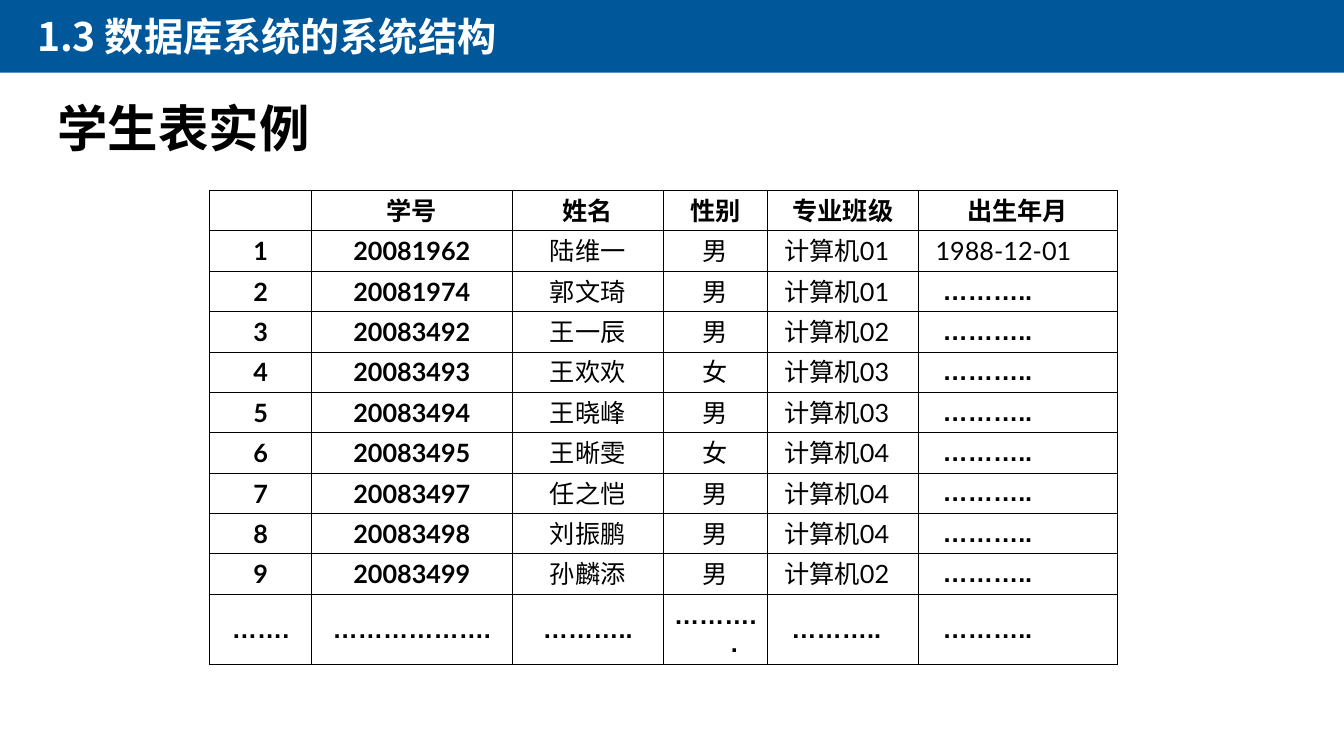
from lxml import etree
from pptx import Presentation
from pptx.dml.color import RGBColor
from pptx.enum.shapes import MSO_SHAPE
from pptx.enum.text import MSO_ANCHOR, MSO_AUTO_SIZE, PP_ALIGN
from pptx.oxml.ns import qn
from pptx.util import Pt

PX = 9144  # 100 px to the inch
RECTANGLE = MSO_SHAPE.RECTANGLE
TOP, MIDDLE = MSO_ANCHOR.TOP, MSO_ANCHOR.MIDDLE
LEFT, CENTER = PP_ALIGN.LEFT, PP_ALIGN.CENTER
NO_AUTOFIT = MSO_AUTO_SIZE.NONE
GROW = MSO_AUTO_SIZE.SHAPE_TO_FIT_TEXT

BLUE, WHITE, BLACK = "00589A", "FFFFFF", "000000"

HANGING = 38
COLUMN_WIDTHS = [101, 199, 150, 103, 150, 197]
ROW_HEIGHT = 40
DOTS = "……….."
HEADINGS = ["", "学号", "姓名", "性别", "专业班级", "出生年月"]
STUDENTS = [
    ("20081962", "陆维一", "男", "01", "1988-12-01"),
    ("20081974", "郭文琦", "男", "01", DOTS),
    ("20083492", "王一辰", "男", "02", DOTS),
    ("20083493", "王欢欢", "女", "03", DOTS),
    ("20083494", "王晓峰", "男", "03", DOTS),
    ("20083495", "王晰雯", "女", "04", DOTS),
    ("20083497", "任之恺", "男", "04", DOTS),
    ("20083498", "刘振鹏", "男", "04", DOTS),
    ("20083499", "孙麟添", "男", "02", DOTS),
]
LAST_ROW = ["…….", "……………….", DOTS, DOTS, DOTS, DOTS]


def px(*lengths):
    return [round(length * PX) for length in lengths]


def color(value):
    return RGBColor.from_string(value)


def write(text_frame, text, *, font="Lato", size=18, fill=BLACK, bold=True,
          align=LEFT, spacing=None, margin=0, indent=0):
    paragraph = text_frame.paragraphs[0]
    paragraph.alignment = align
    if spacing:
        paragraph.line_spacing = spacing
    properties = paragraph._p.get_or_add_pPr()
    margin_length, indent_length = px(margin, indent)
    properties.set("marL", str(margin_length))
    properties.set("indent", str(indent_length))
    run = paragraph.add_run()
    run.text = text
    run.font.name = font
    run.font.size = Pt(size)
    run.font.bold = bold
    run.font.color.rgb = color(fill)
    east_asian = etree.SubElement(run._r.get_or_add_rPr(), qn("a:ea"))
    east_asian.set("typeface", font)


def add_header(slide, left, top, width, height):
    band = slide.shapes.add_shape(RECTANGLE, *px(left, top, width, height))
    band.shadow.inherit = False
    band.fill.solid()
    band.fill.fore_color.rgb = color(BLUE)
    band.line.fill.background()

    label = slide.shapes.add_textbox(*px(left + 27, top + 9, 553, 57))
    label.text_frame.word_wrap = True
    label.text_frame.auto_size = GROW
    write(label.text_frame, "1.3 数据库系统的系统结构",
          font="Noto Sans CJK SC", size=28, fill=WHITE)


def add_title(slide, left, top, width, height):
    title = slide.shapes.title
    title.left, title.top, title.width, title.height = px(left, top, width, height)
    title.text_frame.auto_size = NO_AUTOFIT
    title.text_frame.word_wrap = True
    title.text_frame.vertical_anchor = TOP
    write(title.text_frame, "学生表实例", font="Calibri", size=36, spacing=0.9)


def draw_borders(cell):
    properties = cell._tc.get_or_add_tcPr()
    for position, side in enumerate(("lnL", "lnR", "lnT", "lnB")):
        line = etree.Element(qn(f"a:{side}"), w=str(Pt(0.75)))
        fill = etree.SubElement(line, qn("a:solidFill"))
        etree.SubElement(fill, qn("a:srgbClr"), val=BLACK)
        properties.insert(position, line)


def cell_format(row, column, text, last_row):
    """Rules for font, weight and indent by place in the table."""
    dots = text == DOTS
    style = {
        "font": "Arial" if dots or row == last_row else "Lato",
        "bold": row in (0, last_row) or column < 2 or dots,
        "align": CENTER,
        "margin": HANGING,
        "indent": -HANGING,
    }
    if row > 0 and column >= 4:
        style["align"] = LEFT
        style["indent"] += 14 if dots else 7
    return style


def add_student_table(slide, left, top):
    rows = [HEADINGS]
    for number, (student_id, name, gender, group, birth) in enumerate(STUDENTS, 1):
        rows.append([str(number), student_id, name, gender, f"计算机{group}", birth])
    rows.append(LAST_ROW)

    box = px(left, top, sum(COLUMN_WIDTHS), ROW_HEIGHT * len(rows))
    table = slide.shapes.add_table(len(rows), len(HEADINGS), *box).table
    table.first_row = False
    table.horz_banding = False
    for column, width in zip(table.columns, COLUMN_WIDTHS):
        column.width = px(width)[0]

    for row, texts in enumerate(rows):
        for column, text in enumerate(texts):
            cell = table.cell(row, column)
            cell.vertical_anchor = MIDDLE
            cell.fill.background()
            draw_borders(cell)
            if text:
                write(cell.text_frame, text,
                      **cell_format(row, column, text, len(rows) - 1))


def main():
    presentation = Presentation()
    presentation.slide_width, presentation.slide_height = px(1333, 750)
    slide = presentation.slides.add_slide(presentation.slide_layouts[5])
    add_header(slide, 0, -2, 1333, 74)
    add_title(slide, 47, 98, 900, 88)
    add_student_table(slide, 208, 189)
    presentation.save("out.pptx")


if __name__ == "__main__":
    main()
